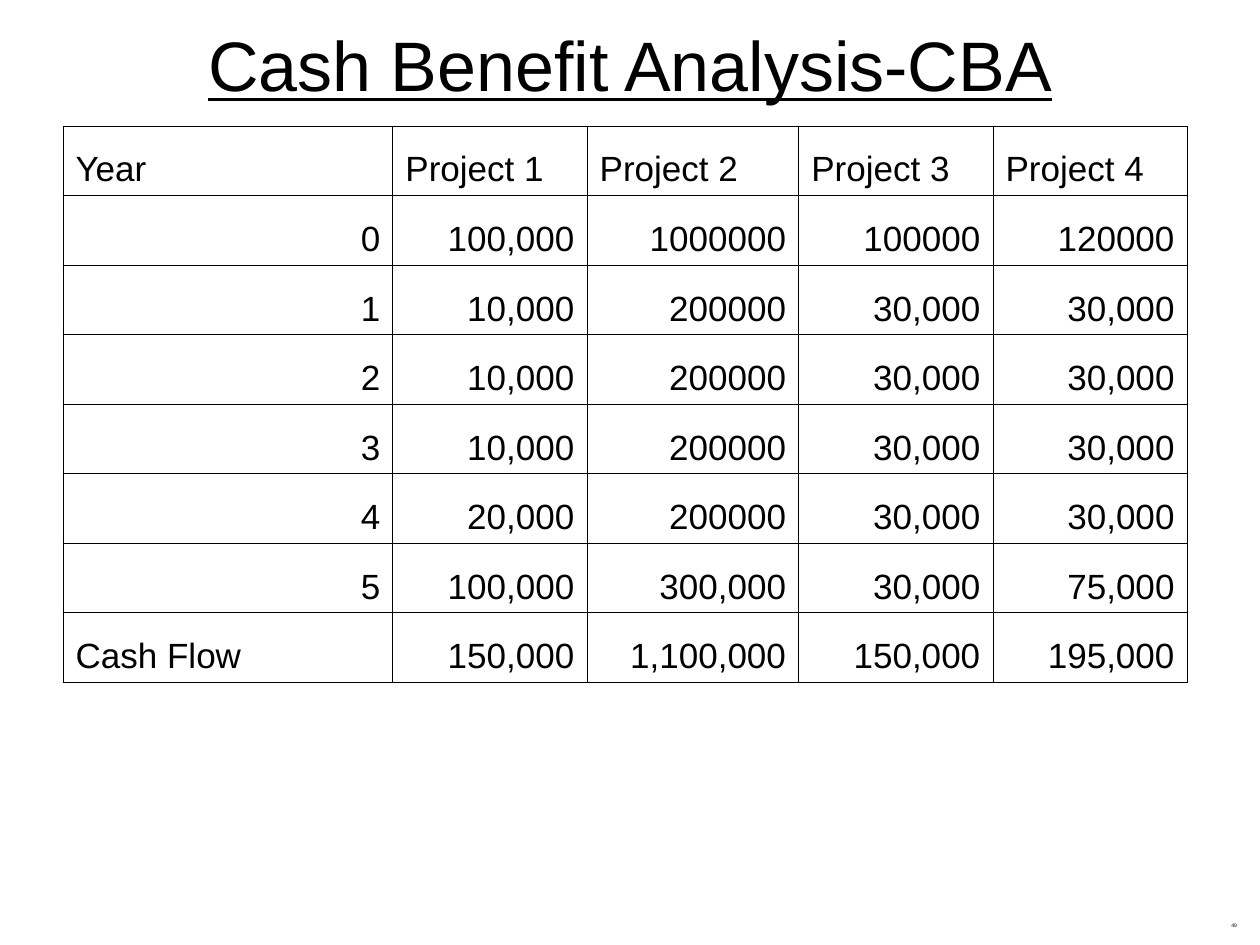
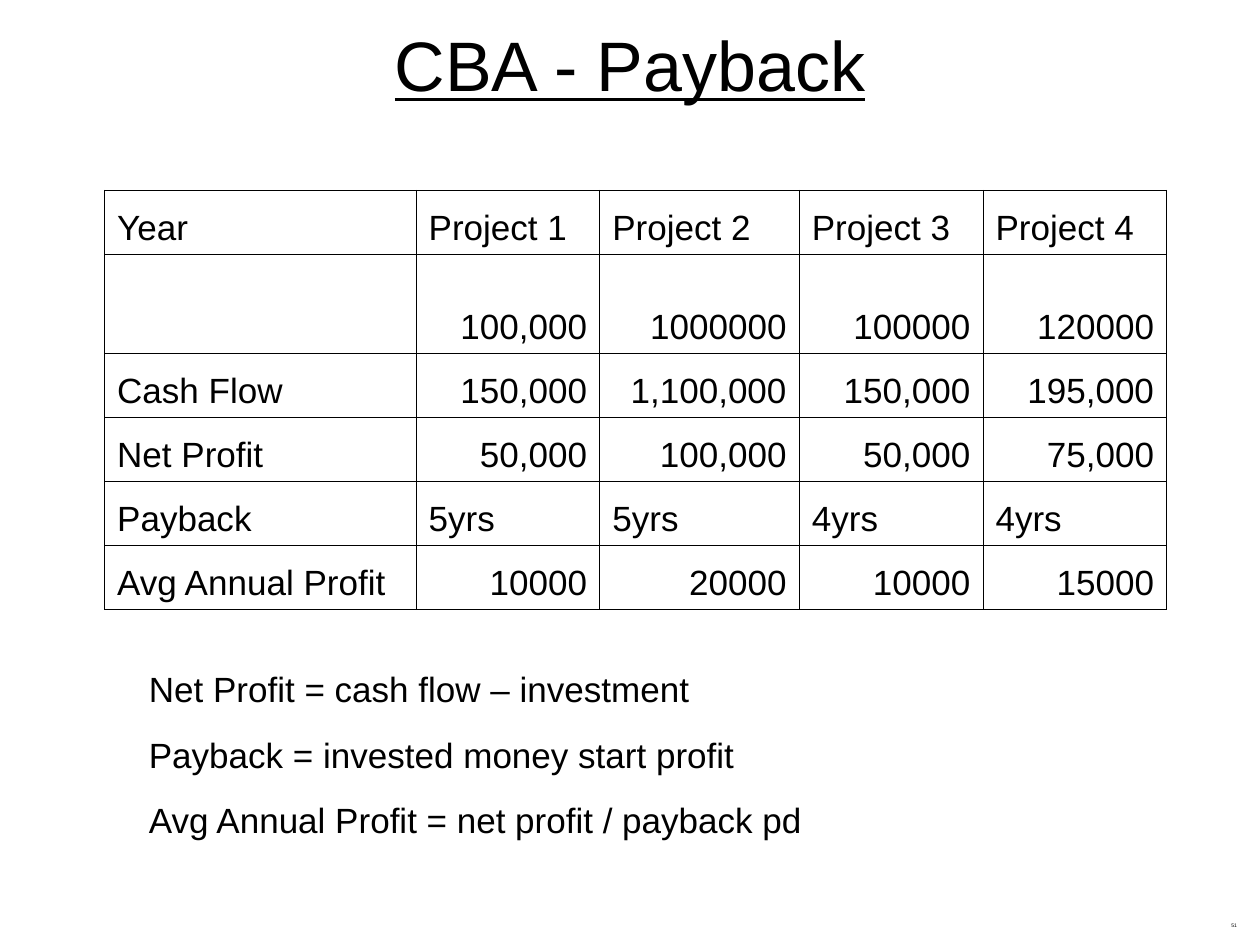
"""Build two slides on cash benefit analysis: yearly cash flows and payback."""
import pptx
import pptx.dml.color
import pptx.enum.text
import pptx.oxml.ns
import pptx.util
from lxml import etree

Pt = pptx.util.Pt
ALIGN = pptx.enum.text.PP_ALIGN
ANCHOR = pptx.enum.text.MSO_ANCHOR
BLACK = pptx.dml.color.RGBColor(0, 0, 0)
BODY_FONT = {"name": "Arial", "size": Pt(20), "bold": False}
TITLE_FONT = {"name": "Arial", "size": Pt(40), "underline": True}
NUMBER_FONT = {"name": "Arial", "size": Pt(2.9)}
BORDER_WIDTH = Pt(0.45)

HEADER = ["Year", "Project 1", "Project 2", "Project 3", "Project 4"]
INVESTMENT = ["100,000", "1000000", "100000", "120000"]
CASH_FLOW = ["Cash Flow", "150,000", "1,100,000", "150,000", "195,000"]

SLIDES = [
    {
        "title": "Cash Benefit Analysis-CBA",
        "number": "49",
        "corner": (36, 72),
        "columns": [188.5, 111, 121, 111, 111],
        "heights": [39.77] * 8,
        "rows": [
            HEADER,
            ["0", *INVESTMENT],
            ["1", "10,000", "200000", "30,000", "30,000"],
            ["2", "10,000", "200000", "30,000", "30,000"],
            ["3", "10,000", "200000", "30,000", "30,000"],
            ["4", "20,000", "200000", "30,000", "30,000"],
            ["5", "100,000", "300,000", "30,000", "75,000"],
            CASH_FLOW,
        ],
        "formulas": [],
    },
    {
        "title": "CBA - Payback",
        "number": "51",
        "corner": (59.75, 108.75),
        "columns": [178, 105, 114, 105, 105],
        "heights": [36.55, 56.5] + [36.55] * 4,
        "rows": [
            HEADER,
            ["", *INVESTMENT],
            CASH_FLOW,
            ["Net Profit", "50,000", "100,000", "50,000", "75,000"],
            ["Payback", "5yrs", "5yrs", "4yrs", "4yrs"],
            ["Avg Annual Profit", "10000", "20000", "10000", "15000"],
        ],
        "formulas": [
            "Net Profit = cash flow – investment",
            "Payback = invested money start profit",
            "Avg Annual Profit = net profit / payback pd",
        ],
    },
]


def write(para, text, font, align=ALIGN.LEFT):
    para.alignment = align
    span = para.add_run()
    span.text = text
    for name, value in font.items():
        setattr(span.font, name, value)
    span.font.color.rgb = BLACK


def outline(cell):
    properties = cell._tc.get_or_add_tcPr()
    for side in ("lnL", "lnR", "lnT", "lnB"):
        line = etree.SubElement(properties, pptx.oxml.ns.qn(f"a:{side}"), w=str(BORDER_WIDTH))
        fill = etree.SubElement(line, pptx.oxml.ns.qn("a:solidFill"))
        etree.SubElement(fill, pptx.oxml.ns.qn("a:srgbClr"), val=str(BLACK))


deck = pptx.Presentation()
deck.slide_width, deck.slide_height = Pt(720), Pt(540)

for content in SLIDES:
    page = deck.slides.add_slide(deck.slide_layouts[5])

    title = page.shapes.title
    title.left, title.top, title.width, title.height = Pt(36), Pt(6.5), Pt(648), Pt(60)
    title.text_frame.auto_size = pptx.enum.text.MSO_AUTO_SIZE.NONE
    title.text_frame.vertical_anchor = ANCHOR.MIDDLE
    write(title.text_frame.paragraphs[0], content["title"], TITLE_FONT, ALIGN.CENTER)

    number_box = page.shapes.add_textbox(Pt(684), Pt(523.5), Pt(30), Pt(12))
    number_box.text_frame.word_wrap = True
    write(number_box.text_frame.paragraphs[0], content["number"], NUMBER_FONT, ALIGN.RIGHT)

    rows, columns, heights = content["rows"], content["columns"], content["heights"]
    left, top = content["corner"]
    table = page.shapes.add_table(
        len(rows), len(columns), Pt(left), Pt(top), Pt(sum(columns)), Pt(sum(heights))
    ).table
    table.first_row = table.horz_banding = False
    for column, width in zip(table.columns, columns):
        column.width = Pt(width)
    for row, height, values in zip(table.rows, heights, rows):
        row.height = Pt(height)
        for cell, value in zip(row.cells, values):
            outline(cell)
            cell.fill.background()
            cell.vertical_anchor = ANCHOR.BOTTOM
            if value:
                is_number = value.replace(",", "").isdigit()
                align = ALIGN.RIGHT if is_number else ALIGN.LEFT
                write(cell.text_frame.paragraphs[0], value, BODY_FONT, align)

    if content["formulas"]:
        formula_box = page.shapes.add_textbox(Pt(78), Pt(378), Pt(576), Pt(104.5))
        frame = formula_box.text_frame
        frame.word_wrap = True
        for index, formula in enumerate(content["formulas"]):
            para = frame.add_paragraph() if index else frame.paragraphs[0]
            if index:
                para.space_before = Pt(13.5)
            write(para, formula, BODY_FONT)

deck.save("out.pptx")
